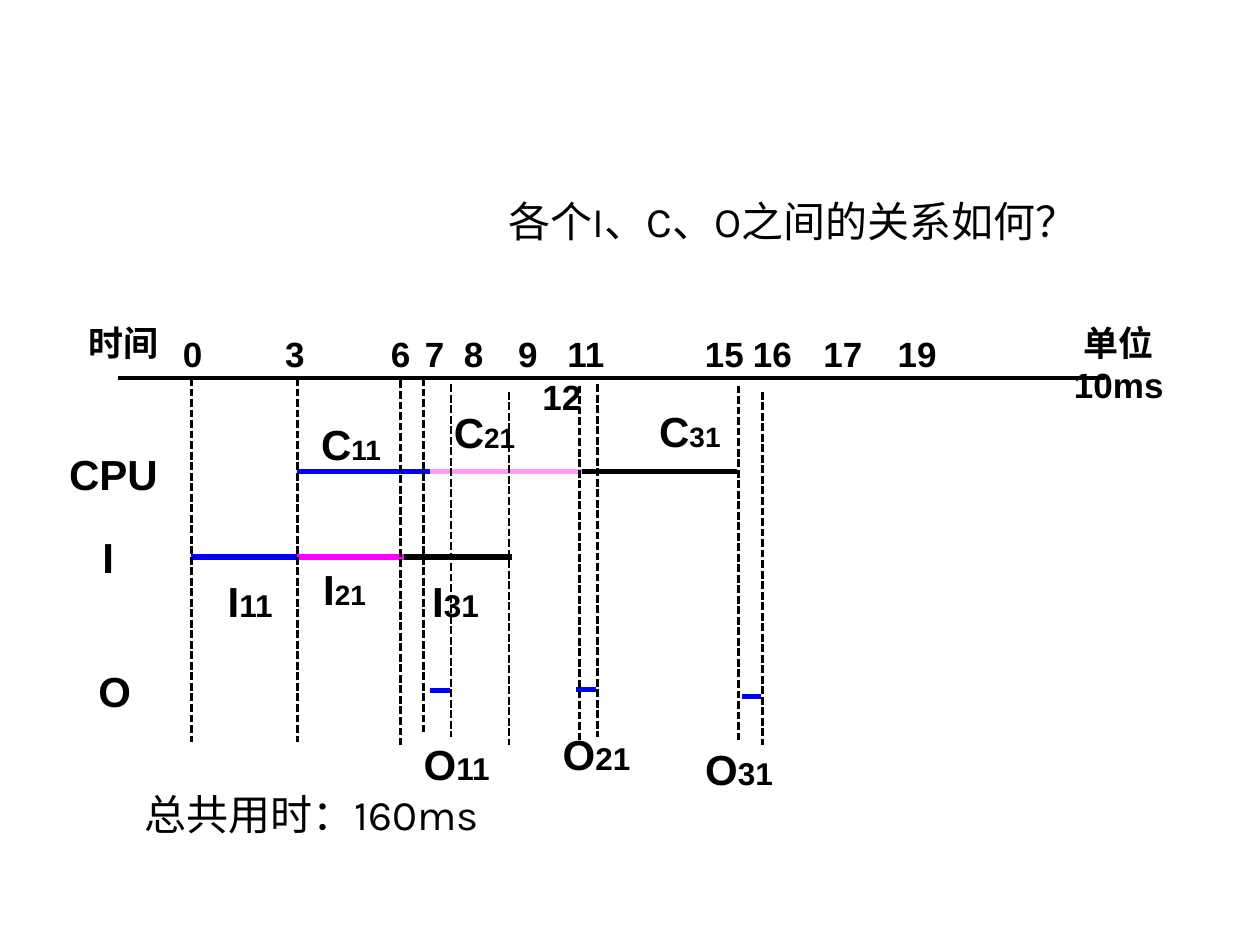
"""Build a slide with a timing diagram of input, computation and output for three jobs."""
from lxml import etree
from pptx import Presentation
from pptx.dml.color import RGBColor
from pptx.enum.dml import MSO_LINE
from pptx.enum.shapes import MSO_CONNECTOR
from pptx.enum.text import PP_ALIGN
from pptx.oxml.ns import qn
from pptx.util import Inches, Pt

STRAIGHT = MSO_CONNECTOR.STRAIGHT
DASH = MSO_LINE.SQUARE_DOT
CENTER, LEFT = PP_ALIGN.CENTER, PP_ALIGN.LEFT
BLACK, BLUE, MAGENTA, PINK = "000000", "0000FF", "FF00FF", "FF99FF"

presentation = Presentation()
presentation.slide_width = Inches(10)
presentation.slide_height = Inches(7.5)
slide = presentation.slides.add_slide(presentation.slide_layouts[6])


def add_line(start, end, color, width, dash=None):
    line = slide.shapes.add_connector(STRAIGHT, *[Inches(value) for value in (*start, *end)])
    line.line.color.rgb = RGBColor.from_string(color)
    line.line.width = Pt(width)
    if dash:
        line.line.dash_style = dash
    etree.SubElement(line._element.spPr, qn("a:effectLst"))


def add_text(left, top, width, height, runs, wrap=False, align=CENTER, font="Arial", bold=True):
    box = slide.shapes.add_textbox(*[Inches(value) for value in (left, top, width, height)])
    box.text_frame.word_wrap = wrap
    paragraph = box.text_frame.paragraphs[0]
    paragraph.alignment = align
    for text, size in runs:
        run = paragraph.add_run()
        run.text = text
        run.font.name = font
        run.font.size = Pt(size)
        run.font.bold = bold
        run.font.color.rgb = RGBColor.from_string(BLACK)


add_line((0.94, 3), (8.77, 3), BLACK, 2.25)
add_text(0.53, 2.5, 0.9, 0.43, [("时间", 20)])
add_text(8.38, 2.5, 1, 0.76, [("单位 10ms", 20)], wrap=True)

tick_labels = [
    ("0", 1.53, 2.59), ("3", 2.34, 2.59), ("6", 3.18, 2.59), ("7", 3.45, 2.59),
    ("8", 3.76, 2.59), ("9", 4.19, 2.59), ("11", 4.65, 2.59), ("12", 4.46, 2.93),
    ("15", 5.75, 2.59), ("16", 6.13, 2.59), ("17", 6.69, 2.59), ("19", 7.28, 2.59),
]
for text, center, top in tick_labels:
    add_text(center - 0.35, top, 0.7, 0.43, [(text, 20)])

for text, center, top in [("CPU", 0.9, 3.51), ("I", 0.86, 4.17), ("O", 0.91, 5.23)]:
    add_text(center - 0.6, top, 1.2, 0.5, [(text, 24)])

segments = [
    (1.52, 2.36, 4.42, BLUE), (2.36, 3.21, 4.42, MAGENTA), (3.21, 4.06, 4.42, BLACK),
    (2.36, 3.44, 3.74, BLUE), (3.41, 4.62, 3.74, PINK), (4.62, 5.85, 3.74, BLACK),
    (3.41, 3.57, 5.48, BLUE), (4.57, 4.73, 5.47, BLUE), (5.89, 6.04, 5.53, BLUE),
]
for start, end, y, color in segments:
    add_line((start, y), (end, y), color, 3)

guides = [
    (1.52, 3, 5.89), (2.36, 3, 5.89), (3.18, 3.02, 5.91), (3.36, 3, 5.81), (3.58, 3.05, 5.85),
    (4.04, 3.11, 5.91), (4.6, 3.06, 5.87), (4.74, 3.05, 5.85), (5.86, 3.06, 5.87), (6.05, 3.11, 5.91),
]
for x, top, bottom in guides:
    add_line((x, top), (x, bottom), BLACK, 1.5, DASH)

task_labels = [
    ("I", "11", 18, 1.61, 4.52, 0.75), ("I", "21", 16, 2.36, 4.42, 0.75), ("I", "31", 18, 3.18, 4.52, 0.87),
    ("C", "11", 16, 2.36, 3.27, 0.85), ("C", "21", 16, 3.44, 3.18, 0.81), ("C", "31", 16, 5.09, 3.17, 0.77),
    ("O", "11", 18, 3.19, 5.81, 0.87), ("O", "21", 18, 4.3, 5.73, 0.87), ("O", "31", 18, 5.43, 5.85, 0.87),
]
for letter, number, size, left, top, width in task_labels:
    add_text(left, top, width, 0.57, [(letter, 24), (number, size)], wrap=True)

sentences = [("各个I、C、O之间的关系如何？", 3.94, 1.5, 5.72), ("总共用时：160ms", 1.05, 6.21, 8.2)]
for text, left, top, width in sentences:
    add_text(left, top, width, 0.6, [(text, 24)], wrap=True, align=LEFT, font="Karla", bold=False)

presentation.save("out.pptx")
